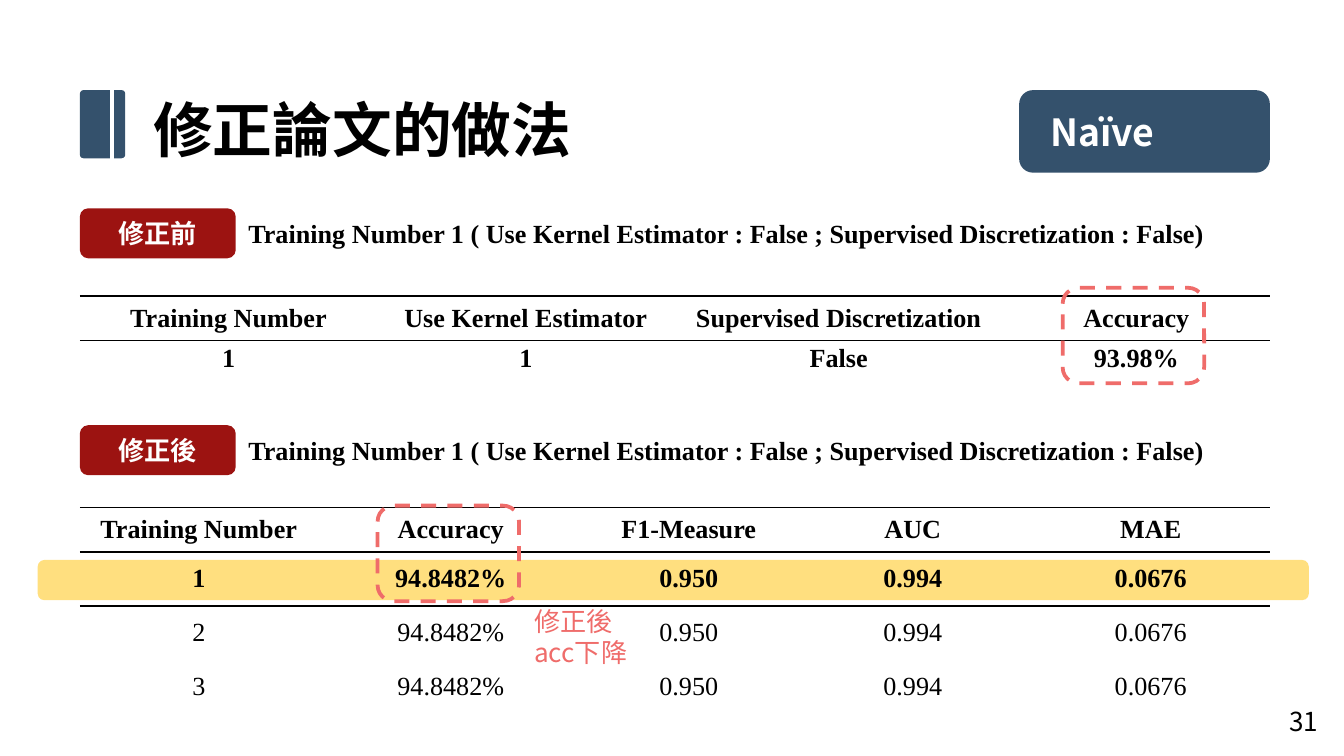
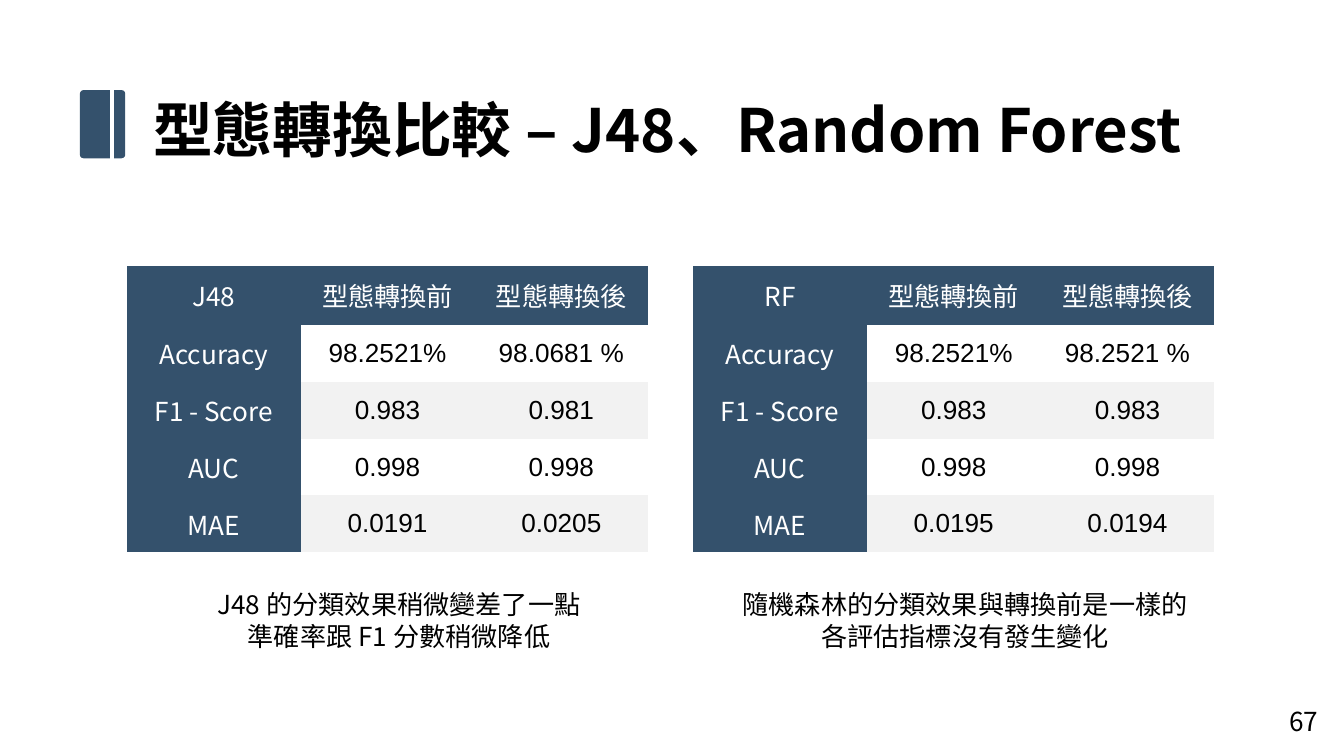
from lxml.etree import SubElement
from pptx import Presentation
from pptx.dml.color import RGBColor
from pptx.enum.dml import MSO_LINE
from pptx.enum.shapes import MSO_CONNECTOR, MSO_SHAPE
from pptx.enum.text import MSO_ANCHOR as ANCHOR, PP_ALIGN as ALIGN
from pptx.oxml.ns import qn
from pptx.util import Pt

NAVY = RGBColor(0x34, 0x51, 0x6C)
RED = RGBColor(0x9C, 0x13, 0x11)
CORAL = RGBColor(0xEF, 0x6C, 0x6A)
GOLD = RGBColor(0xFF, 0xC0, 0x00)
GREY = RGBColor(0xF2, 0xF2, 0xF2)
WHITE = RGBColor(0xFF, 0xFF, 0xFF)
BLACK = RGBColor(0, 0, 0)
SANS, SERIF, ARIAL = "Noto Sans CJK JP", "Times New Roman", "Arial"
NO_STYLE = "{2D5ABB26-0587-4C30-8999-92F81FD0307C}"
LEFT, WIDTH = 42.8, 637.5


def write(frame, text, size=14, font=SANS, color=BLACK, bold=False,
          align=ALIGN.LEFT, pitch=None):
    """Fill a text frame, one paragraph per line of text."""
    frame.word_wrap = True
    for i, line in enumerate(text.split("\n")):
        para = frame.paragraphs[0] if i == 0 else frame.add_paragraph()
        para.alignment = align
        if pitch:
            para.line_spacing = Pt(pitch)
        run = para.add_run()
        run.text = line
        run.font.size, run.font.bold, run.font.name = Pt(size), bold, font
        run.font.color.rgb = color
        SubElement(run.font._element, qn("a:ea"), typeface=font)


def add_box(slide, left, top, width, height, fill=None, dash=None):
    """Add a rounded box, either filled or with a dashed outline."""
    box = slide.shapes.add_shape(MSO_SHAPE.ROUNDED_RECTANGLE,
                                 Pt(left), Pt(top), Pt(width), Pt(height))
    box.shadow.inherit = False
    if fill is None:
        box.fill.background()
    else:
        box.fill.solid()
        box.fill.fore_color.rgb = fill
    if dash is None:
        box.line.fill.background()
    else:
        box.line.color.rgb = dash
        box.line.width = Pt(2)
        box.line.dash_style = MSO_LINE.DASH
    return box


prs = Presentation()
prs.slide_width, prs.slide_height = Pt(720), Pt(405)
blank = prs.slide_layouts[6]
revision, conversion = [prs.slides.add_slide(blank) for _ in range(2)]

# Title, title mark and page number on both slides
for slide, title, page in (
    (revision, "修正論文的做法", "31"),
    (conversion, "型態轉換比較 – J48、Random Forest", "67"),
):
    heading = slide.shapes.add_textbox(Pt(75), Pt(45.5), Pt(605), Pt(46))
    write(heading.text_frame, title, size=32, bold=True, pitch=39)
    mark = add_box(slide, LEFT, 48.3, 24.3, 36.5, fill=NAVY)
    mark.adjustments[0] = 0.08
    slit = slide.shapes.add_connector(MSO_CONNECTOR.STRAIGHT,
                                      Pt(60), Pt(43), Pt(60), Pt(92))
    slit.line.color.rgb = WHITE
    slit.line.width = Pt(2)
    SubElement(slit._element.spPr, qn("a:effectLst"))
    number = slide.shapes.add_textbox(Pt(676.8), Pt(374), Pt(43.2), Pt(31))
    write(number.text_frame, page, align=ALIGN.CENTER, pitch=17)

# Revision: method badge
method = add_box(revision, 546, 48.3, 134.3, 44.2, fill=NAVY)
method.text_frame.margin_left = Pt(14.5)
write(method.text_frame, "Naïve", size=20, color=WHITE, bold=True)

# Revision: section labels and settings
for label, top in (("修正前", 111.6), ("修正後", 227.8)):
    tag = add_box(revision, LEFT, top, 83.5, 26.8, fill=RED)
    write(tag.text_frame, label, color=WHITE, bold=True, align=ALIGN.CENTER)
    setting = revision.shapes.add_textbox(Pt(126), Pt(top + 1.4), Pt(554), Pt(24))
    write(setting.text_frame,
          "Training Number 1 ( Use Kernel Estimator : False ; "
          "Supervised Discretization : False)", font=SERIF, bold=True)

# Revision: highlight behind the chosen row
highlight = add_box(revision, 20.2, 300, 681, 21.6, fill=GOLD)
gold = highlight._element.spPr.find(qn("a:solidFill"))[0]
SubElement(gold, qn("a:alpha"), val="50000")

# Tables: ruled ones on the first slide, filled ones on the second
before = [["Training Number", "Use Kernel Estimator",
           "Supervised Discretization", "Accuracy"],
          ["1", "1", "False", "93.98%"]]
after = [["Training Number", "Accuracy", "F1-Measure", "AUC", "MAE"]]
after += [[n, "94.8482%", "0.950", "0.994", "0.0676"] for n in "123"]
j48 = [["J48", "型態轉換前", "型態轉換後"],
       ["Accuracy", "98.2521%", "98.0681 %"],
       ["F1 - Score", "0.983", "0.981"],
       ["AUC", "0.998", "0.998"],
       ["MAE", "0.0191", "0.0205"]]
forest = [["RF", "型態轉換前", "型態轉換後"],
          ["Accuracy", "98.2521%", "98.2521 %"],
          ["F1 - Score", "0.983", "0.983"],
          ["AUC", "0.998", "0.998"],
          ["MAE", "0.0195", "0.0194"]]
thirds, score_heights = [93.1] * 3, [31.5] + [30.5] * 4
J48_LEFT, FOREST_LEFT, SCORE_WIDTH = 68, 371.3, 279.3

for slide, left, top, widths, heights, rows in (
    (revision, LEFT, 271.8, [127.5, 142.5, 112.5, 127.5, 127.5],
     [24] + [28.8] * 3, after),
    (revision, LEFT, 158.5, [159.3, 159.3, 176, 142.9], [24, 19.5], before),
    (conversion, J48_LEFT, 142.5, thirds, score_heights, j48),
    (conversion, FOREST_LEFT, 142.5, thirds, score_heights, forest),
):
    ruled = slide is revision
    table = slide.shapes.add_table(len(rows), len(widths), Pt(left), Pt(top),
                                   Pt(sum(widths)), Pt(sum(heights))).table
    table._tbl.tblPr.find(qn("a:tableStyleId")).text = NO_STYLE
    table.first_row = table.horz_banding = False
    for column, width in zip(table.columns, widths):
        column.width = Pt(width)
    for r, values in enumerate(rows):
        table.rows[r].height = Pt(heights[r])
        for c, value in enumerate(values):
            cell = table.cell(r, c)
            cell.vertical_anchor = ANCHOR.MIDDLE
            cell.margin_top = cell.margin_bottom = 0
            cell.margin_left = cell.margin_right = Pt(5.4)
            header = not ruled and (r == 0 or c == 0)
            # Rules above and below the heading row
            sides = {0: ("a:lnT", "a:lnB"), 1: ("a:lnT",)}.get(r, ())
            for side in sides if ruled else ():
                rule = SubElement(cell._tc.get_or_add_tcPr(), qn(side), w="12700")
                ink = SubElement(rule, qn("a:solidFill"))
                SubElement(ink, qn("a:srgbClr"), val=str(BLACK))
            if header or (not ruled and r % 2 == 0):
                cell.fill.solid()
                cell.fill.fore_color.rgb = NAVY if header else GREY
            else:
                cell.fill.background()
            write(cell.text_frame, value, align=ALIGN.CENTER,
                  font=SERIF if ruled else SANS if header else ARIAL,
                  color=WHITE if header else BLACK, bold=ruled and r < 2)

# Revision: dashed frames around the accuracies, and their note
for left, top in ((569.3, 154.2), (202.3, 270.9)):
    add_box(revision, left, top, 75.8, 51.2, dash=CORAL)
note = revision.shapes.add_textbox(Pt(279), Pt(320.4), Pt(68), Pt(41))
write(note.text_frame, "修正後\nacc下降", color=CORAL, pitch=17)

# Conversion: findings under the tables
for left, finding in (
    (J48_LEFT, "J48 的分類效果稍微變差了一點\n準確率跟 F1 分數稍微降低"),
    (FOREST_LEFT, "隨機森林的分類效果與轉換前是一樣的\n各評估指標沒有發生變化"),
):
    caption = conversion.shapes.add_textbox(Pt(left), Pt(311.5),
                                            Pt(SCORE_WIDTH), Pt(41))
    caption.text_frame.margin_left = Pt(19.4)
    write(caption.text_frame, finding, align=ALIGN.CENTER, pitch=17)

prs.save("out.pptx")
